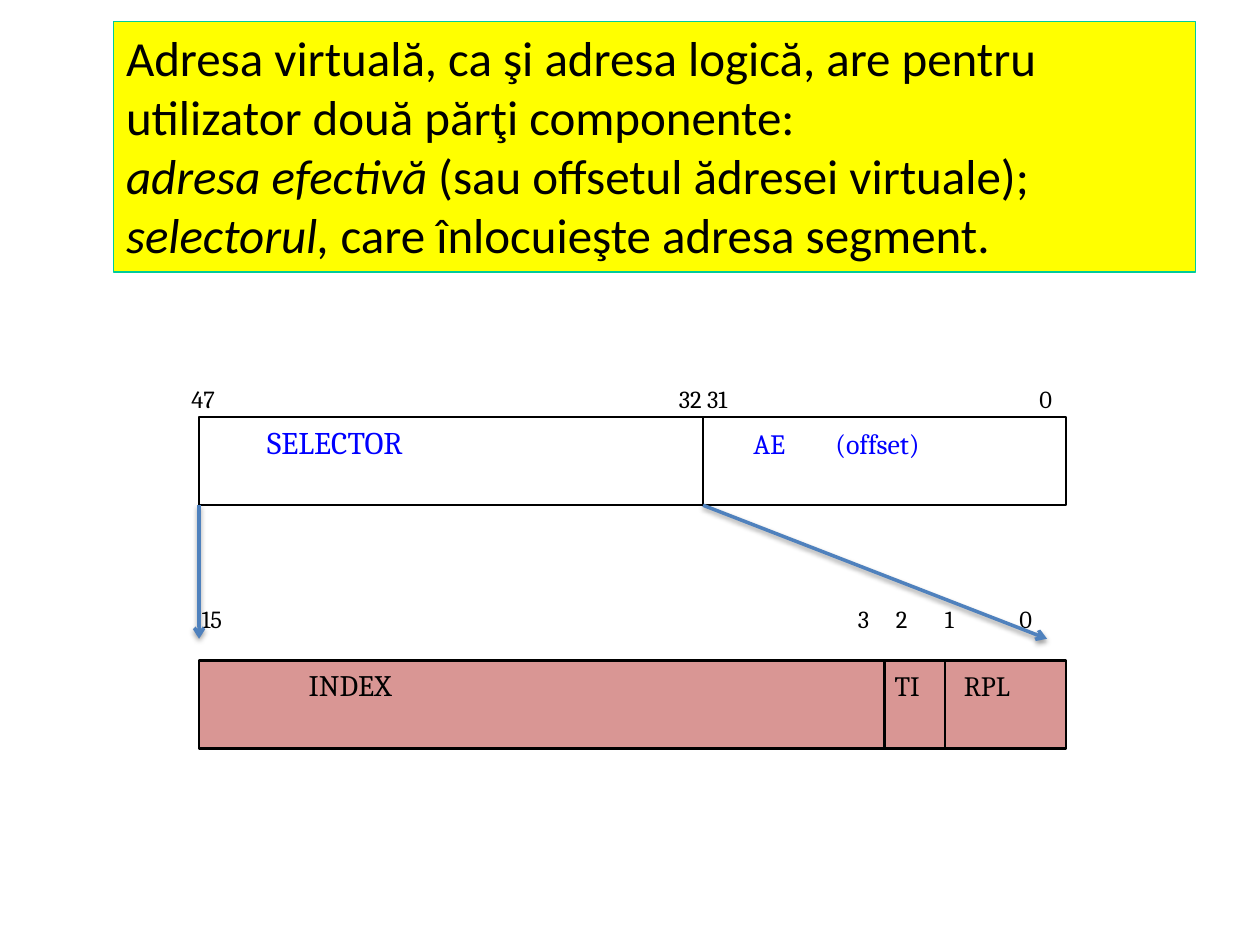
from lxml import etree
from pptx import Presentation
from pptx import util as u
from pptx.dml.color import RGBColor
from pptx.enum import shapes, text
from pptx.oxml import ns

COLORS = dict(yellow="FFFF00", green="00CC99", white="FFFFFF", black="000000",
              rose="D99694", blue="0000FF", steel="4F81BD")


class Builder:
    """Hold the style and the current slide, with a method per kind of element."""

    def __init__(self, prs):
        self.s = prs.slides.add_slide(prs.slide_layouts[5])

    def color(self, name):
        return RGBColor.from_string(COLORS[name])

    def sub(self, parent, tag, **attrs):
        return etree.SubElement(parent, ns.qn(tag), attrs)

    def paint(self, sp, fill, line, width):
        sp.fill.solid()
        sp.fill.fore_color.rgb = self.color(fill)
        sp.line.color.rgb = self.color(line)
        sp.line.width = u.Pt(width)

    def run(self, p, words, size, font, color="black", italic=False):
        r = p.add_run()
        r.text = words
        for key, value in dict(size=u.Pt(size), name=font, italic=italic).items():
            setattr(r.font, key, value)
        r.font.color.rgb = self.color(color)

    def title(self, box, lines):
        sp = self.s.shapes.title
        sp.left, sp.top, sp.width, sp.height = map(u.Inches, box)
        self.paint(sp, "yellow", "green", 0.75)
        tf = sp.text_frame
        tf.vertical_anchor = text.MSO_ANCHOR.TOP
        tf.auto_size = text.MSO_AUTO_SIZE.NONE
        for i, runs in enumerate(lines):
            p = tf.add_paragraph() if i else tf.paragraphs[0]
            p.alignment = text.PP_ALIGN.LEFT
            for words, italic in runs:
                self.run(p, words, 28, "Calibri", italic=italic)

    def row(self, box, style, inset, tabs, runs):
        sp = self.s.shapes.add_shape(shapes.MSO_SHAPE.RECTANGLE, *map(u.Inches, box))
        sp.shadow.inherit = False
        self.paint(sp, *style)
        tf = sp.text_frame
        left, top = map(u.Inches, inset)
        frame = dict(margin_left=left, margin_top=top, margin_right=0, margin_bottom=0,
                     vertical_anchor=text.MSO_ANCHOR.TOP, word_wrap=True)
        for key, value in frame.items():
            setattr(tf, key, value)
        p = tf.paragraphs[0]
        p.alignment = text.PP_ALIGN.LEFT
        stops = self.sub(p._p.get_or_add_pPr(), "a:tabLst")
        for pos in tabs:
            self.sub(stops, "a:tab", pos=str(u.Inches(pos)), algn="l")
        for words, size, color in runs:
            self.run(p, words, size, "Cambria", color)

    def line(self, start, end, color="black", width=1.5):
        sp = self.s.shapes.add_connector(
            shapes.MSO_CONNECTOR.STRAIGHT, *map(u.Inches, start + end))
        sp.line.color.rgb = self.color(color)
        sp.line.width = u.Pt(width)
        return sp, self.sub(sp._element.spPr, "a:effectLst")

    def arrow(self, start, end):
        sp, effects = self.line(start, end, "steel", 2)
        self.sub(sp.line._get_or_add_ln(), "a:tailEnd", type="arrow")
        shadow = self.sub(effects, "a:outerShdw", blurRad=str(u.Pt(3.1)),
                          dist=str(u.Pt(1.6)), dir="5400000", rotWithShape="0")
        tone = self.sub(shadow, "a:srgbClr", val=COLORS["black"])
        self.sub(tone, "a:alpha", val="38000")


def main():
    prs = Presentation()
    prs.slide_width, prs.slide_height = u.Inches(10), u.Inches(7.5)
    b = Builder(prs)
    b.title((0.9, 0.17, 8.59, 1.99), [
        [("Adresa virtuală, ca şi adresa logică, are pentru utilizator "
          "două părţi componente:", False)],
        [("adresa efectivă", True), (" (sau offsetul ădresei virtuale);", False)],
        [("selectorul,", True), (" care înlocuieşte adresa segment.", False)],
    ])

    left, width, height = 1.58, 6.88, 0.7
    address, selector, split = 3.31, 5.24, 5.58
    plain = ("white", "white", 0.75)
    b.row((1.42, 2.76, 7.2, 0.88), plain, (0.1, 0.29), (3.87, 6.73),
          [("47\t32 31\t0", 14, "black")])
    b.row((left, address, width, height), ("white", "black", 1.5), (0.54, 0.05),
          (3.86, 4.51), [("SELECTOR", 18, "blue"), ("\tAE\t(offset)", 16, "blue")])
    b.row((left, selector, width, height), ("rose", "black", 1.5), (0.87, 0.05),
          (4.65, 5.2), [("INDEX", 17, "black"), ("\tTI\tRPL", 16, "black")])
    b.row((1.51, 4.54, 7.2, 0.53), plain, (0.09, 0.25), (5.21, 5.51, 5.9, 6.49),
          [("15\t3\t2\t1\t0", 14, "black")])
    for x, y in ((split, address), (7.02, selector), (7.5, selector)):
        b.line((x, y), (x, y + height))
    for x, tip in ((split, 8.31), (left, left)):
        b.arrow((x, address + height), (tip, 5.07))
    prs.save("out.pptx")


if __name__ == "__main__":
    main()
